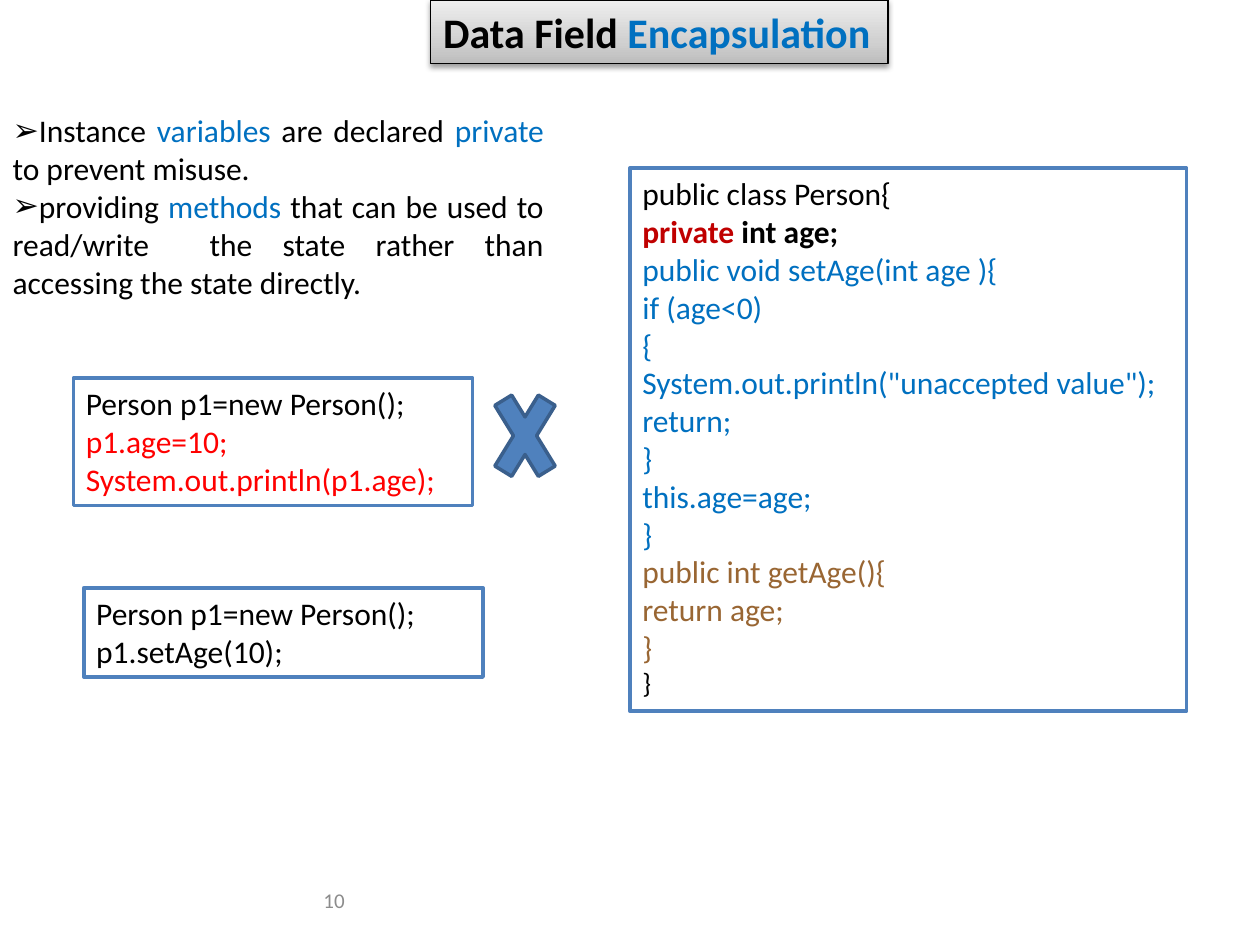
from copy import deepcopy

from lxml.etree import SubElement
from pptx import Presentation
from pptx.dml.color import RGBColor
from pptx.enum.shapes import MSO_SHAPE
from pptx.enum.text import MSO_ANCHOR, MSO_AUTO_SIZE, PP_ALIGN
from pptx.oxml.ns import qn
from pptx.util import Cm, Pt

BLACK = RGBColor(0x00, 0x00, 0x00)
WHITE = RGBColor(0xFF, 0xFF, 0xFF)
GRAY = RGBColor(0x8C, 0x8C, 0x8C)
BLUE = RGBColor(0x00, 0x70, 0xC0)
RED = RGBColor(0xFF, 0x00, 0x00)
DARK_RED = RGBColor(0xC0, 0x00, 0x00)
BROWN = RGBColor(0x99, 0x66, 0x33)
STEEL = RGBColor(0x4F, 0x81, 0xBD)
DARK_STEEL = RGBColor(0x3A, 0x5F, 0x8C)
TITLE_STOPS = [
    (0, RGBColor(0xBD, 0xBD, 0xBD)),
    (0.35, RGBColor(0xD1, 0xD1, 0xD1)),
    (1, RGBColor(0xEE, 0xEE, 0xEE)),
]


def place(sp, left, top, width, height):
    sp.left, sp.top, sp.width, sp.height = Cm(left), Cm(top), Cm(width), Cm(height)


def add_run(p, text, color=BLACK, size=18, bold=False):
    r = p.add_run()
    r.text = text
    r.font.name = "Calibri"
    r.font.size = Pt(size)
    r.font.bold = bold
    r.font.color.rgb = color


def add_paragraph(tf, runs, first=False, align=PP_ALIGN.LEFT, **fmt):
    p = tf.paragraphs[0] if first else tf.add_paragraph()
    p.alignment = align
    p.space_before = Pt(0)
    for text, color in runs:
        add_run(p, text, color, **fmt)
    return p


def add_bullet(p, char):
    pPr = p._p.get_or_add_pPr()
    pPr.set("marL", "0")
    pPr.set("indent", "0")
    SubElement(pPr, qn("a:buFont"), typeface="Arial")
    SubElement(pPr, qn("a:buChar"), char=char)


def add_shadow(sp):
    sp.shadow.inherit = False
    effects = sp._element.spPr.find(qn("a:effectLst"))
    shadow = SubElement(effects, qn("a:outerShdw"), blurRad=str(Pt(3.1)),
                        dist=str(Pt(1.6)), dir="5400000", rotWithShape="0")
    color = SubElement(shadow, qn("a:srgbClr"), val=str(BLACK))
    SubElement(color, qn("a:alpha"), val="38000")


def fill_gradient(sp, stops, angle):
    sp.fill.gradient()
    sp.fill.gradient_angle = angle
    gs_lst = sp._element.spPr.find(qn("a:gradFill")).find(qn("a:gsLst"))
    gs_lst.append(deepcopy(gs_lst[-1]))
    for stop, (position, color) in zip(sp.fill.gradient_stops, stops):
        stop.position = position
        stop.color.rgb = color


def add_preset(s, kind, box, fill, line):
    sp = s.shapes.add_shape(kind, *map(Cm, box))
    sp.shadow.inherit = False
    sp.fill.solid()
    sp.fill.fore_color.rgb = fill
    sp.line.color.rgb = line
    sp.line.width = Pt(2)
    return sp


def add_code_box(s, box, lines):
    sp = add_preset(s, MSO_SHAPE.RECTANGLE, box, WHITE, STEEL)
    tf = sp.text_frame
    tf.word_wrap = True
    tf.vertical_anchor = MSO_ANCHOR.TOP
    for i, (text, color, *fmt) in enumerate(lines):
        add_paragraph(tf, [(text, color)], first=i == 0, **(fmt[0] if fmt else {}))
    return tf


def set_title(s):
    sp = s.shapes.title
    place(sp, 8.68, 0, 9.22, 1.28)
    fill_gradient(sp, TITLE_STOPS, 90)
    sp.line.color.rgb = BLACK
    sp.line.width = Pt(0.75)
    add_shadow(sp)
    tf = sp.text_frame
    tf.word_wrap = False
    tf.auto_size = MSO_AUTO_SIZE.NONE
    tf.vertical_anchor = MSO_ANCHOR.TOP
    add_paragraph(tf, [("Data Field ", BLACK), ("Encapsulation", BLUE)],
                  first=True, size=24, bold=True)


def set_body(s, items):
    sp = s.placeholders[1]
    place(sp, 0, 2.12, 11.22, 4.11)
    tf = sp.text_frame
    tf.word_wrap = True
    tf.auto_size = MSO_AUTO_SIZE.NONE
    for i, runs in enumerate(items):
        p = add_paragraph(tf, runs, first=i == 0, align=PP_ALIGN.JUSTIFY)
        add_bullet(p, "➢")


def add_page_number(s, text):
    tf = s.shapes.add_textbox(Cm(1.27), Cm(17.65), Cm(5.93), Cm(1.01)).text_frame
    tf.word_wrap = True
    tf.vertical_anchor = MSO_ANCHOR.MIDDLE
    add_paragraph(tf, [(text, GRAY)], first=True, align=PP_ALIGN.RIGHT, size=12)


def main():
    prs = Presentation()
    prs.slide_width, prs.slide_height = Cm(25.4), Cm(19.05)
    s = prs.slides.add_slide(prs.slide_layouts[1])
    add_page_number(s, "10")
    setter = ["public void setAge(int age ){", "if (age<0)", "{",
              'System.out.println("unaccepted value");', "return;", "}",
              "this.age=age;", "}"]
    getter = ["public int getAge(){", "return age;", "}"]
    tf = add_code_box(s, (12.7, 3.39, 11.22, 10.95), [
        ("public class Person{", BLACK),
        ("private", DARK_RED, {"bold": True}),
        *[(text, BLUE) for text in setter],
        *[(text, BROWN) for text in getter],
        ("}", BLACK, {"size": 16}),
    ])
    add_run(tf.paragraphs[1], " int age;", bold=True)
    set_title(s)
    set_body(s, [
        [("Instance ", BLACK), ("variables", BLUE), (" are declared ", BLACK),
         ("private", BLUE), (" to prevent misuse. ", BLACK)],
        [("providing ", BLACK), ("methods", BLUE),
         (" that can be used to read/write  the state rather than "
          "accessing the state directly.", BLACK)],
    ])
    add_code_box(s, (1.69, 11.85, 8.05, 1.8), [
        ("Person p1=new Person();", BLACK),
        ("p1.setAge(10);", BLACK),
    ])
    add_code_box(s, (1.48, 7.62, 8.05, 2.57), [
        ("Person p1=new Person();", BLACK),
        ("p1.age=10;", RED),
        ("System.out.println(p1.age);", RED),
    ])
    add_preset(s, MSO_SHAPE.MATH_MULTIPLY, (9.74, 7.41, 1.69, 2.75), STEEL, DARK_STEEL)
    prs.save("out.pptx")


if __name__ == "__main__":
    main()
